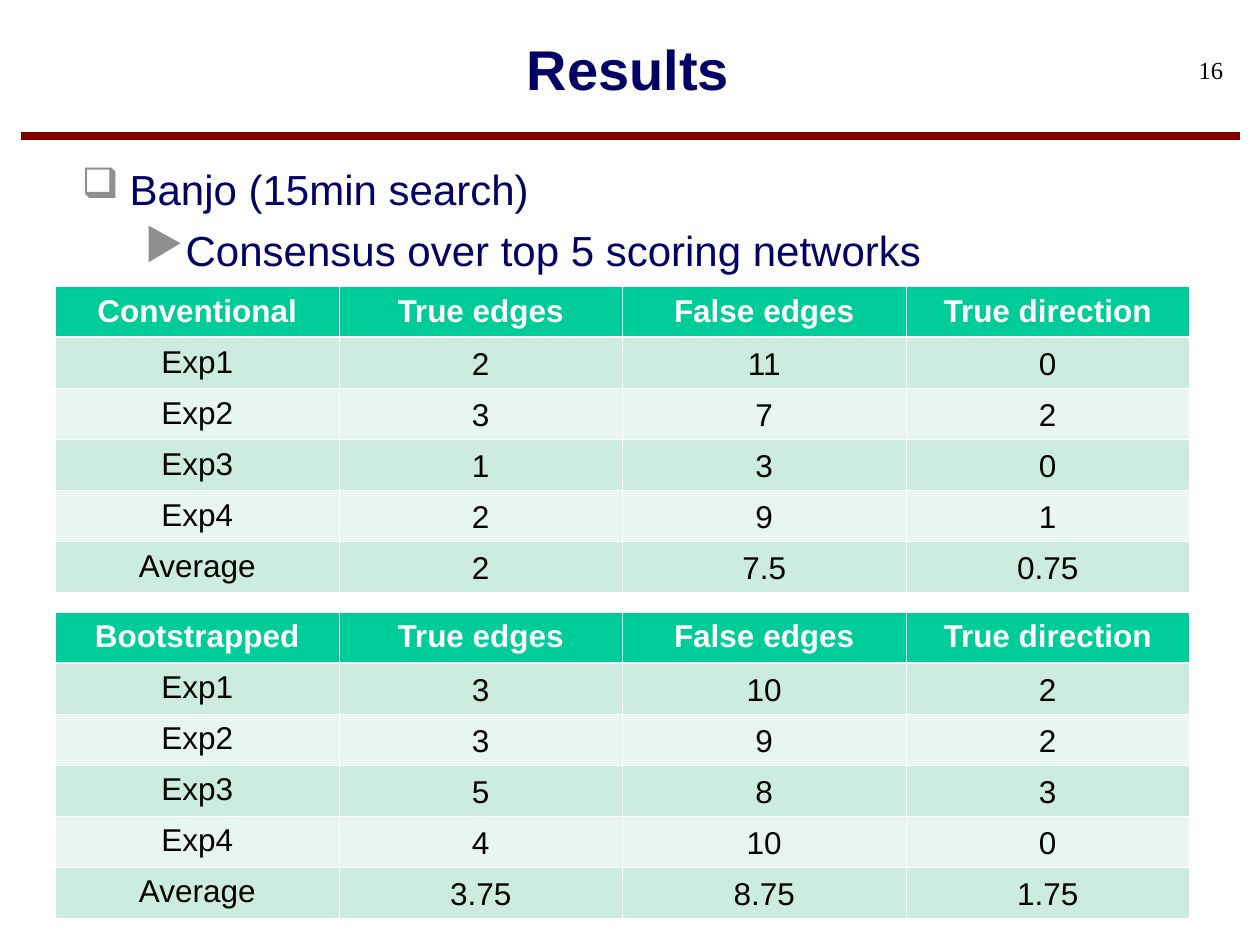
import dataclasses
import typing

import lxml.etree
import pptx
import pptx.dml.color
import pptx.enum.shapes
import pptx.enum.text
import pptx.oxml.ns
import pptx.util

ANCHOR = pptx.enum.text.MSO_ANCHOR
ALIGN = pptx.enum.text.PP_ALIGN
In = pptx.util.Inches
Pt = pptx.util.Pt
qn = pptx.oxml.ns.qn

NAVY, BLACK, WHITE, MAROON = "000066", "000000", "FFFFFF", "800000"
GREEN, BANDS, BULLET_GREY = "00CC99", ("CBECDE", "E7F6EF"), "8F8F90"
SLIDE_W, SLIDE_H = 10, 7.5
COL_W, ROW_H = 2.25, 0.405
TABLE_LEFT = 0.44
HEADERS = ["True edges", "False edges", "True direction"]
LABELS = ["Exp1", "Exp2", "Exp3", "Exp4", "Average"]


@dataclasses.dataclass
class Bullet:
    text: str
    char: str
    size_pct: int
    level: int
    margin: float
    hang: float
    before: float


@dataclasses.dataclass
class ResultTable:
    name: str
    top: float
    label_anchor: typing.Any
    values: list[list[str]]


BULLETS = [
    Bullet("Banjo (15min search)", "❑", 100, 0, 0.38, 0.38, 0),
    Bullet("Consensus over top 5 scoring networks", "▶", 105, 1, 0.81, 0.31, 6),
]
TABLES = [
    ResultTable("Conventional", 2.27, ANCHOR.MIDDLE, [
        ["2", "11", "0"], ["3", "7", "2"], ["1", "3", "0"],
        ["2", "9", "1"], ["2", "7.5", "0.75"]]),
    ResultTable("Bootstrapped", 4.86, ANCHOR.TOP, [
        ["3", "10", "2"], ["3", "9", "2"], ["5", "8", "3"],
        ["4", "10", "0"], ["3.75", "8.75", "1.75"]]),
]


def rgb(value: str) -> pptx.dml.color.RGBColor:
    return pptx.dml.color.RGBColor.from_string(value)


def add_run(p, text: str, size: float, color: str, bold: bool = False,
            font: str = "Arial") -> None:
    r = p.add_run()
    r.text = text
    r.font.name, r.font.size, r.font.bold = font, Pt(size), bold
    r.font.color.rgb = rgb(color)


def set_insets(tf, left: float = 0, top: float = 0, right: float = 0, bottom: float = 0) -> None:
    tf.margin_left, tf.margin_top = In(left), In(top)
    tf.margin_right, tf.margin_bottom = In(right), In(bottom)


def add_title(slide, text: str) -> None:
    sp = slide.shapes.title
    sp.left, sp.top, sp.width, sp.height = In(0.59), 0, In(8.79), In(1.08)
    tf = sp.text_frame
    set_insets(tf)
    tf.vertical_anchor = ANCHOR.MIDDLE
    p = tf.paragraphs[0]
    p.alignment = ALIGN.CENTER
    add_run(p, text, 32, NAVY, bold=True)


def add_rule(slide) -> None:
    y = In(1.08)
    sp = slide.shapes.add_connector(
        pptx.enum.shapes.MSO_CONNECTOR.STRAIGHT, In(0.17), y, In(9.84), y)
    sp.line.color.rgb = rgb(MAROON)
    sp.line.width = Pt(4.5)
    lxml.etree.SubElement(sp._element.spPr, qn("a:effectLst"))


def add_page_number(slide, number: str) -> None:
    sp = slide.shapes.add_textbox(In(7.87), In(0.3), In(2.08), In(0.5))
    tf = sp.text_frame
    tf.word_wrap = True
    set_insets(tf, left=1.4)
    tf.vertical_anchor = ANCHOR.MIDDLE
    p = tf.paragraphs[0]
    p.alignment = ALIGN.CENTER
    add_run(p, number, 14, BLACK, font="Times New Roman")


def add_bullets(slide, bullets: list[Bullet]) -> None:
    sp = slide.shapes.add_textbox(In(0.55), In(1.25), In(8.79), In(5.25))
    tf = sp.text_frame
    tf.word_wrap = True
    for i, bullet in enumerate(bullets):
        p = tf.add_paragraph() if i else tf.paragraphs[0]
        p.level = bullet.level
        ppr = p._p.get_or_add_pPr()
        ppr.set("marL", str(In(bullet.margin)))
        ppr.set("indent", str(-In(bullet.hang)))
        color = lxml.etree.SubElement(ppr, qn("a:buClr"))
        lxml.etree.SubElement(color, qn("a:srgbClr"), val=BULLET_GREY)
        lxml.etree.SubElement(ppr, qn("a:buSzPct"), val=str(bullet.size_pct * 1000))
        lxml.etree.SubElement(ppr, qn("a:buChar"), char=bullet.char)
        p.space_before = Pt(bullet.before)
        add_run(p, bullet.text, 24, NAVY)


def set_borders(cell, row: int) -> None:
    tcpr = cell._tc.get_or_add_tcPr()
    widths = {"L": 0.45, "R": 0.45, "T": 1.47 if row == 1 else 0.45,
              "B": 1.47 if row == 0 else 0.45}
    for side, width in widths.items():
        ln = lxml.etree.SubElement(tcpr, qn(f"a:ln{side}"), w=str(Pt(width)))
        fill = lxml.etree.SubElement(ln, qn("a:solidFill"))
        lxml.etree.SubElement(fill, qn("a:srgbClr"), val=WHITE)


def add_result_table(slide, spec: ResultTable) -> None:
    rows = [[spec.name, *HEADERS]]
    rows += [[label, *values] for label, values in zip(LABELS, spec.values)]
    n_rows, n_cols = len(rows), len(rows[0])
    table = slide.shapes.add_table(
        n_rows, n_cols, In(TABLE_LEFT), In(spec.top),
        In(n_cols * COL_W), In(n_rows * ROW_H)).table
    table.horz_banding = False
    for column in table.columns:
        column.width = In(COL_W)
    for i, texts in enumerate(rows):
        table.rows[i].height = In(ROW_H)
        for j, text in enumerate(texts):
            cell = table.cell(i, j)
            header = i == 0
            value = not header and j > 0
            set_borders(cell, i)
            cell.fill.solid()
            cell.fill.fore_color.rgb = rgb(GREEN if header else BANDS[(i - 1) % 2])
            side = 0.01 if value else 0.1
            set_insets(cell, side, 0.05, side, 0.05)
            cell.vertical_anchor = ANCHOR.BOTTOM if value else spec.label_anchor
            p = cell.text_frame.paragraphs[0]
            p.alignment = ALIGN.CENTER
            add_run(p, text, 18, WHITE if header else BLACK, bold=header)


def main() -> None:
    prs = pptx.Presentation()
    prs.slide_width, prs.slide_height = In(SLIDE_W), In(SLIDE_H)
    slide = prs.slides.add_slide(prs.slide_layouts.get_by_name("Title Only"))
    add_rule(slide)
    add_title(slide, "Results")
    add_bullets(slide, BULLETS)
    add_page_number(slide, "16")
    for spec in TABLES:
        add_result_table(slide, spec)
    prs.save("out.pptx")


if __name__ == "__main__":
    main()
